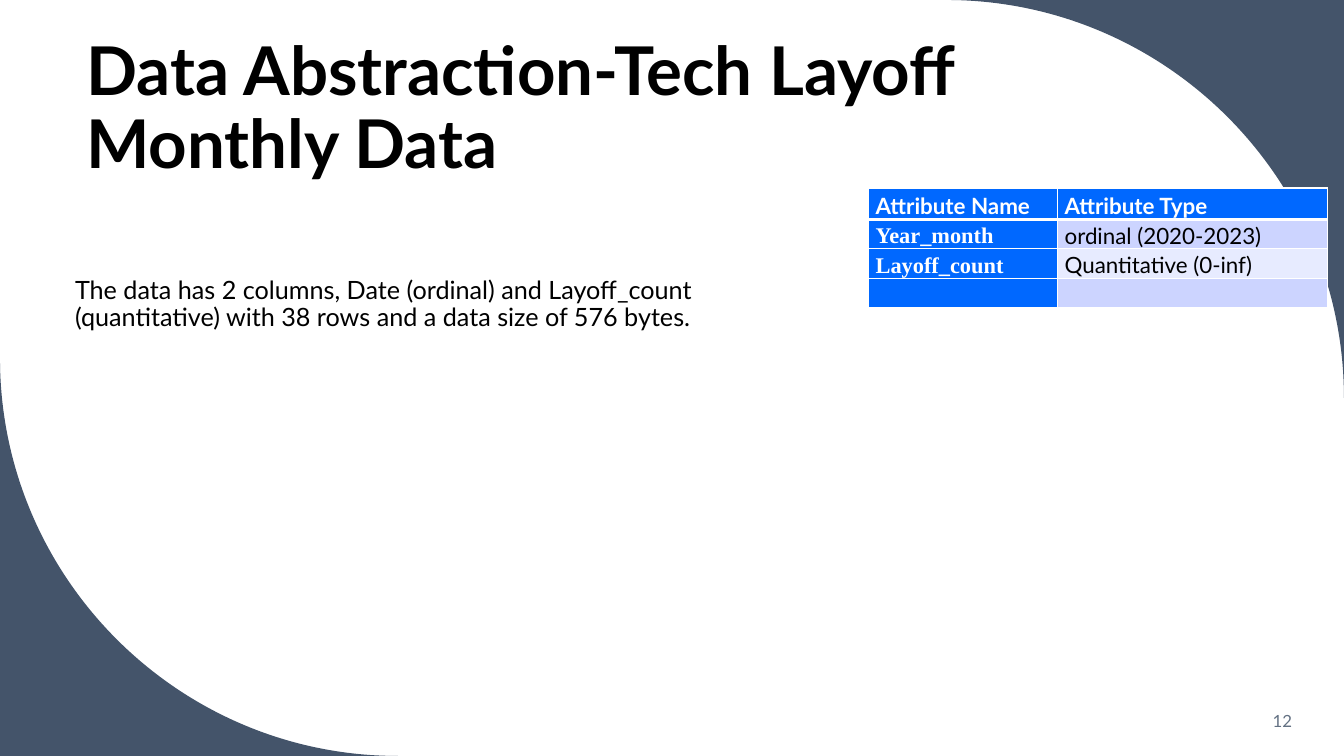
from lxml import etree
from pptx import Presentation
from pptx.dml.color import RGBColor
from pptx.enum.text import MSO_ANCHOR, PP_ALIGN
from pptx.oxml.ns import qn
from pptx.util import Pt

TOP, MIDDLE, BOTTOM = MSO_ANCHOR.TOP, MSO_ANCHOR.MIDDLE, MSO_ANCHOR.BOTTOM
LEFT, RIGHT = PP_ALIGN.LEFT, PP_ALIGN.RIGHT

PX = 9525  # EMU per px, 96 px to the inch
WIDTH, HEIGHT = 1280, 720

THEME = {
    "corner": "44546A", "ink": "000000", "number": "637183", "white": "FFFFFF",
    "head": "0068FF", "band": ["CCD4FF", "E7EBFF"],
    "font": "Lato", "name_font": "Times New Roman",
    "title_size": 48, "body_size": 18, "table_size": 16, "number_size": 12,
}


def style_text(para, size, color, font=THEME["font"], bold=False):
    for span in para.runs:
        span.font.name = font
        span.font.size = Pt(size)
        span.font.bold = bold
        span.font.color.rgb = RGBColor.from_string(color)


def add_text(page, bounds, text, size, color, anchor, align=LEFT, bold=False, spacing=1.0):
    box = page.shapes.add_textbox(*(value * PX for value in bounds))
    frame = box.text_frame
    frame.word_wrap = True
    frame.vertical_anchor = anchor
    para = frame.paragraphs[0]
    para.text = text
    para.alignment = align
    para.line_spacing = spacing
    style_text(para, size, color, bold=bold)


deck = Presentation()
deck.slide_width, deck.slide_height = WIDTH * PX, HEIGHT * PX
page = deck.slides.add_slide(deck.slide_layouts[6])

# Curved corners: the second is the first turned by half a circle
RADIUS, HANDLE = 379, 209
top_right = [(WIDTH, 0), (WIDTH - RADIUS, 0), (WIDTH, RADIUS)]
top_right_handles = [(WIDTH - RADIUS + HANDLE, 0), (WIDTH, RADIUS - HANDLE)]
for turned in (False, True):
    outline, handles = (
        [(WIDTH - x, HEIGHT - y) if turned else (x, y) for x, y in points]
        for points in (top_right, top_right_handles)
    )
    points = [(x * PX, y * PX) for x, y in outline]
    builder = page.shapes.build_freeform(*points[0])
    builder.add_line_segments(points[1:], close=True)
    corner = builder.convert_to_shape()
    corner.shadow.inherit = False
    corner.fill.solid()
    corner.fill.fore_color.rgb = RGBColor.from_string(THEME["corner"])
    corner.line.fill.background()

    # The segment between the two arms becomes a quarter circle
    arc = list(corner._element.iter(qn("a:lnTo")))[1]
    arc.tag = qn("a:cubicBezTo")
    for position, (x, y) in enumerate(handles):
        handle = etree.Element(qn("a:pt"), x=str(x * PX - corner.left), y=str(y * PX - corner.top))
        arc.insert(position, handle)

# Title, page number and body
add_text(page, (73, 40, 1026, 139), "Data Abstraction-Tech Layoff\vMonthly Data",
         THEME["title_size"], THEME["ink"], BOTTOM, bold=True, spacing=0.9)
add_text(page, (1066, 667, 174, 38), "12",
         THEME["number_size"], THEME["number"], MIDDLE, align=RIGHT)
add_text(page, (62, 260, 691, 308),
         "The data has 2 columns, Date (ordinal) and Layoff_count\v"
         "(quantitative) with 38 rows and a data size of 576 bytes.",
         THEME["body_size"], THEME["ink"], TOP, spacing=0.9)

# Attribute table
ROWS = [
    ("Attribute Name", "Attribute Type"),
    ("Year_month", "ordinal (2020-2023)"),
    ("Layoff_count", "Quantitative (0-inf)"),
    ("", ""),
]
COLUMN_WIDTHS, ROW_HEIGHTS = [180, 257], [30, 28, 28, 28]
table = page.shapes.add_table(
    len(ROWS), len(COLUMN_WIDTHS), 827 * PX, 179 * PX,
    sum(COLUMN_WIDTHS) * PX, sum(ROW_HEIGHTS) * PX).table
for column, width in zip(table.columns, COLUMN_WIDTHS):
    column.width = width * PX
for row, height in zip(table.rows, ROW_HEIGHTS):
    row.height = height * PX

for row_index, texts in enumerate(ROWS):
    for column_index, text in enumerate(texts):
        is_header = row_index == 0
        is_key = is_header or column_index == 0
        cell = table.cell(row_index, column_index)
        cell.margin_left = cell.margin_right = 7 * PX
        cell.margin_top = cell.margin_bottom = 0
        cell.vertical_anchor = BOTTOM
        cell.fill.solid()
        fill = THEME["head"] if is_key else THEME["band"][(row_index - 1) % 2]
        cell.fill.fore_color.rgb = RGBColor.from_string(fill)
        para = cell.text_frame.paragraphs[0]
        if text:
            para.text = text
            style_text(para, THEME["table_size"], THEME["white" if is_key else "ink"],
                       THEME["font" if is_header or not is_key else "name_font"], is_key)
        else:
            end = etree.SubElement(para._p, qn("a:endParaRPr"))
            end.set("sz", str(THEME["table_size"] * 100))

        # White borders, thick between the header and the rows
        properties = cell._tc.get_or_add_tcPr()
        for position, side in enumerate("LRTB"):
            thick = (row_index, side) in ((0, "B"), (1, "T"))
            border = etree.Element(qn(f"a:ln{side}"), w=str(Pt(3 if thick else 1)))
            solid = etree.SubElement(border, qn("a:solidFill"))
            etree.SubElement(solid, qn("a:srgbClr"), val=THEME["white"])
            properties.insert(position, border)

deck.save("out.pptx")
